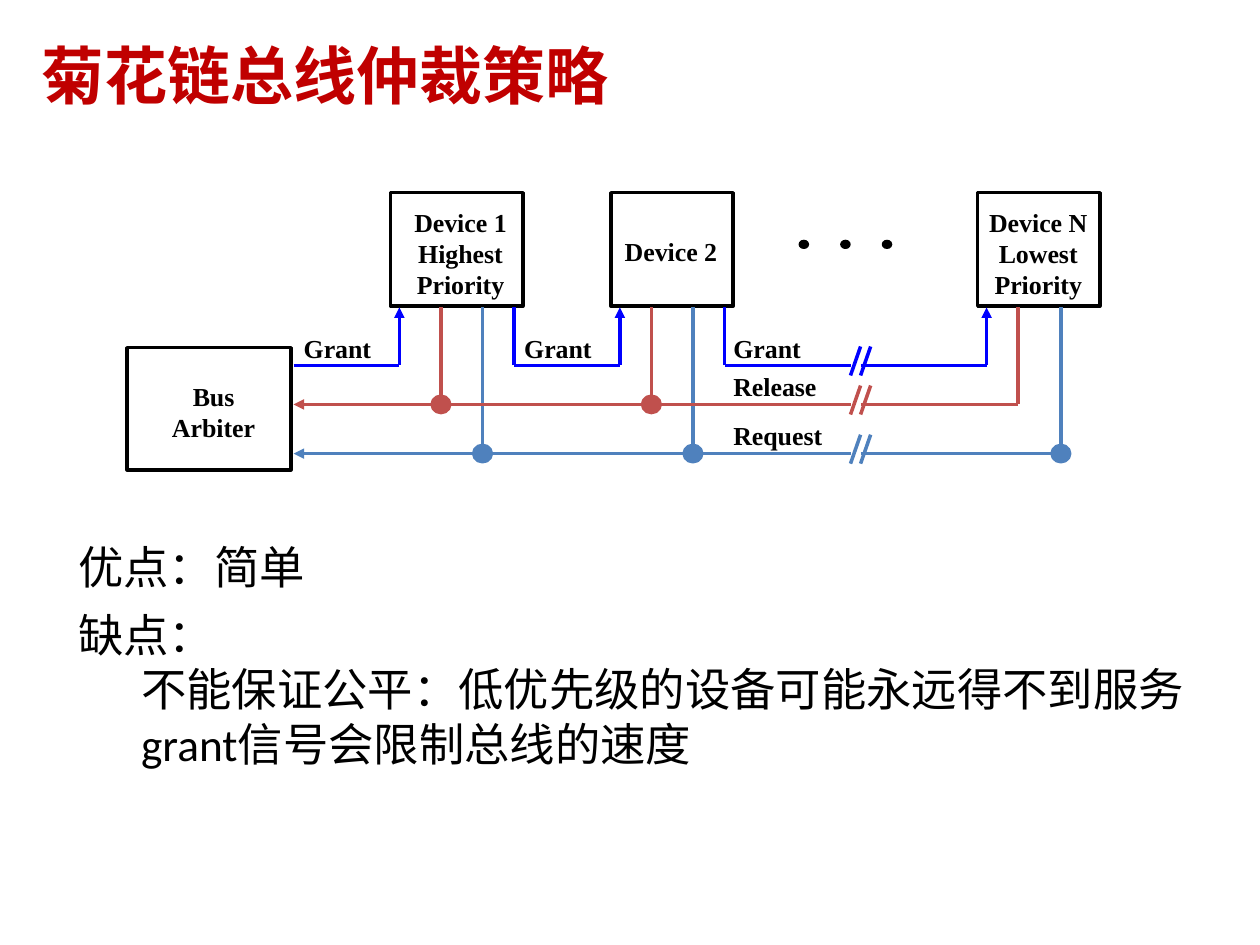
from lxml import etree
from pptx import Presentation
from pptx import util as u
from pptx.dml.color import RGBColor
from pptx.enum import shapes, text
from pptx.oxml.ns import qn

BLACK = RGBColor(0, 0, 0)
TITLE = RGBColor(0xC0, 0, 0)
GRANT = RGBColor(0, 0, 0xFF)
FREE = RGBColor(0xC0, 0x50, 0x4D)
ASK = RGBColor(0x4F, 0x81, 0xBD)
HAN = "Noto Sans CJK SC"
SERIF = "Times New Roman"


class Board:
    def __init__(self, slide):
        self.slide = slide
        self.width = u.Pt(2)
        self.size = 14.8

    def shape(self, kind, box, line, fill=None, width=None):
        item = self.slide.shapes.add_shape(kind, *map(u.Inches, box))
        item.shadow.inherit = False
        if fill is None:
            item.fill.background()
        else:
            item.fill.solid()
            item.fill.fore_color.rgb = fill
        item.line.color.rgb = line
        item.line.width = width or self.width

    def box(self, *box):
        self.shape(shapes.MSO_SHAPE.RECTANGLE, box, BLACK)

    def dot(self, x, y, color, wide=0.14, high=0.13, width=None):
        box = (x - wide / 2, y - high / 2, wide, high)
        self.shape(shapes.MSO_SHAPE.OVAL, box, color, color, width)

    def line(self, start, end, color, arrow=False):
        item = self.slide.shapes.add_connector(
            shapes.MSO_CONNECTOR.STRAIGHT, *map(u.Inches, start + end))
        item.line.color.rgb = color
        item.line.width = self.width
        props = item._element.spPr
        if arrow:
            etree.SubElement(props.find(qn("a:ln")), qn("a:tailEnd"), type="triangle")
        etree.SubElement(props, qn("a:effectLst"))

    def split(self, start, end, y, color, arrow=False):
        self.line((6.75, y), (start, y), color, arrow)
        self.line((6.83, y), (end, y), color)
        for x in (6.75, 6.83):
            self.line((x, y + 0.08), (x + 0.08, y - 0.15), color)

    def words(self, rows, box, font=SERIF, size=None, color=BLACK, bold=True,
              center=False, pad=(0.09, 0.04), wrap=False):
        frame = self.slide.shapes.add_textbox(*map(u.Inches, box)).text_frame
        frame.word_wrap = wrap
        frame.margin_left = frame.margin_right = u.Inches(pad[0])
        frame.margin_top = frame.margin_bottom = u.Inches(pad[1])
        frame.text = rows
        for para in frame.paragraphs:
            if center:
                para.alignment = text.PP_ALIGN.CENTER
            for run in para.runs:
                run.font.name = font
                run.font.size = u.Pt(size or self.size)
                run.font.bold = bold
                run.font.color.rgb = color
                etree.SubElement(run.font._element, qn("a:ea"), typeface=HAN)
        return frame


def main():
    deck = Presentation()
    deck.slide_width, deck.slide_height = u.Inches(10), u.Inches(7.5)
    board = Board(deck.slides.add_slide(deck.slide_layouts[6]))

    head = board.words("菊花链总线仲裁策略", (0.33, 0.27, 5.25, 0.64), HAN, 36,
                       TITLE, pad=(0, 0))
    head.vertical_anchor = text.MSO_ANCHOR.MIDDLE

    body = board.words(
        "优点：简单\n缺点：\n不能保证公平：低优先级的设备可能永远得不到服务\n"
        "grant信号会限制总线的速度",
        (0.62, 4.17, 9.38, 2.62), "Calibri", 25.9, bold=False, pad=(0, 0), wrap=True)
    for para in body.paragraphs[:2]:
        para.line_spacing = u.Pt(38.9)
    for para in body.paragraphs[2:]:
        para.line_spacing = u.Pt(31.1)
        para.level = 1
        props = para._p.get_or_add_pPr()
        props.set("marL", str(u.Inches(0.5)))
        props.set("indent", "0")

    board.box(1.01, 2.76, 1.3, 0.97)
    board.words("Bus\nArbiter", (1.27, 2.98, 0.85, 0.59), center=True)
    for name, x, wide, left, top, span in (
            ("Device 1\nHighest\nPriority", 3.1, 1.05, 3.15, 1.6, 1.01),
            ("Device 2", 4.85, 0.97, 4.82, 1.83, 1.01),
            ("Device N\nLowest\nPriority", 7.76, 0.97, 7.65, 1.6, 1.18)):
        high = 0.84 if "\n" in name else 0.34
        board.box(x, 1.53, wide, 0.9)
        board.words(name, (left, top, span, high), center=True)
    for step in range(3):
        board.dot(6.38 + step * 0.33, 1.94, BLACK, 0.07, 0.06, u.Pt(1))

    base, grant, free, ask = 2.44, 2.9, 3.21, 3.6
    for start, end in ((2.33, 3.17), (4.08, 4.92)):
        board.line((start, grant), (end, grant), GRANT)
    board.split(5.75, 7.83, grant, GRANT)
    for x in (3.17, 4.92, 7.83):
        board.line((x, grant), (x, base), GRANT, True)
    for x in (4.08, 5.75):
        board.line((x, grant), (x, base), GRANT)

    for y, color, drops, dots in (
            (ask, ASK, (3.83, 5.5, 8.42), 3),
            (free, FREE, (3.5, 5.17, 8.08), 2)):
        board.split(2.33, drops[-1], y, color, True)
        for x in drops:
            board.line((x, base), (x, y), color)
        for x in drops[:dots]:
            board.dot(x, y, color)

    for name, x, y, wide in (
            ("Grant", 2.32, 2.6, 0.72), ("Grant", 4.07, 2.6, 0.72),
            ("Grant", 5.73, 2.6, 0.72), ("Release", 5.73, 2.9, 0.85),
            ("Request", 5.73, 3.29, 0.9)):
        board.words(name, (x, y, wide, 0.34))

    deck.save("out.pptx")


if __name__ == "__main__":
    main()
